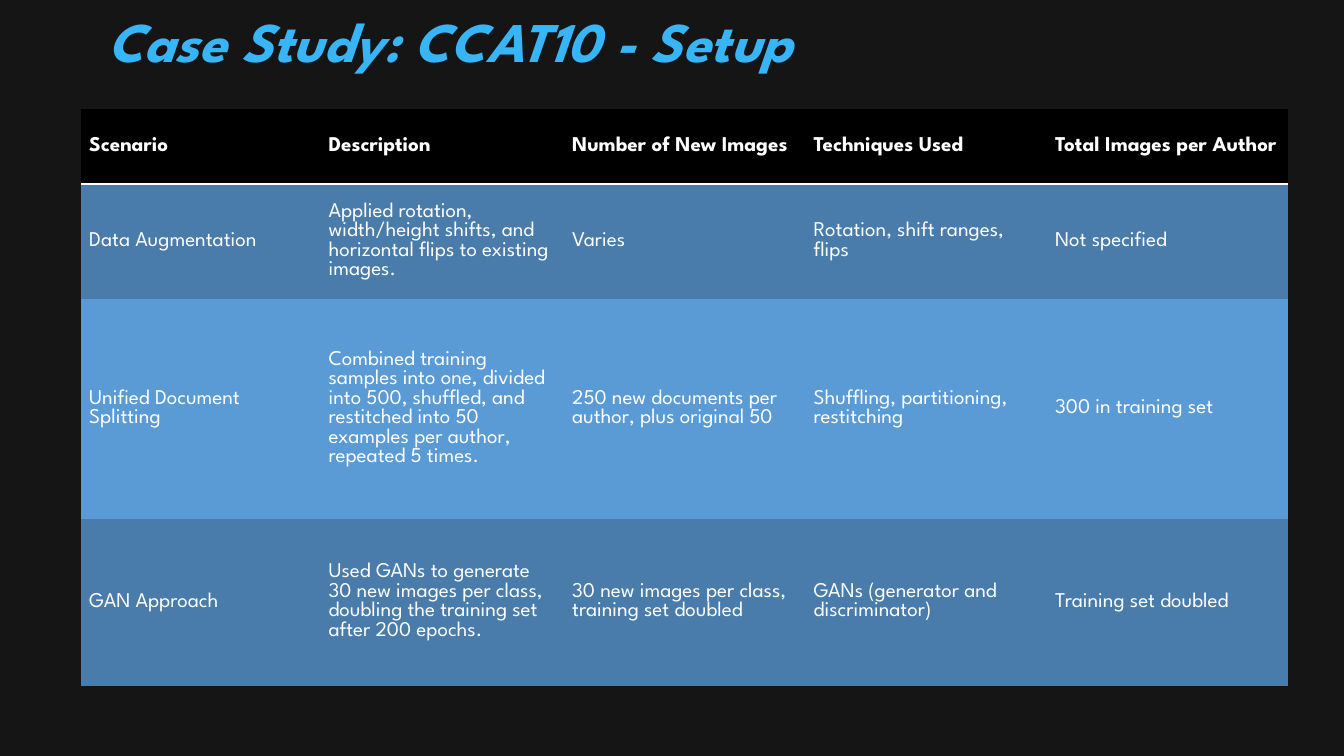
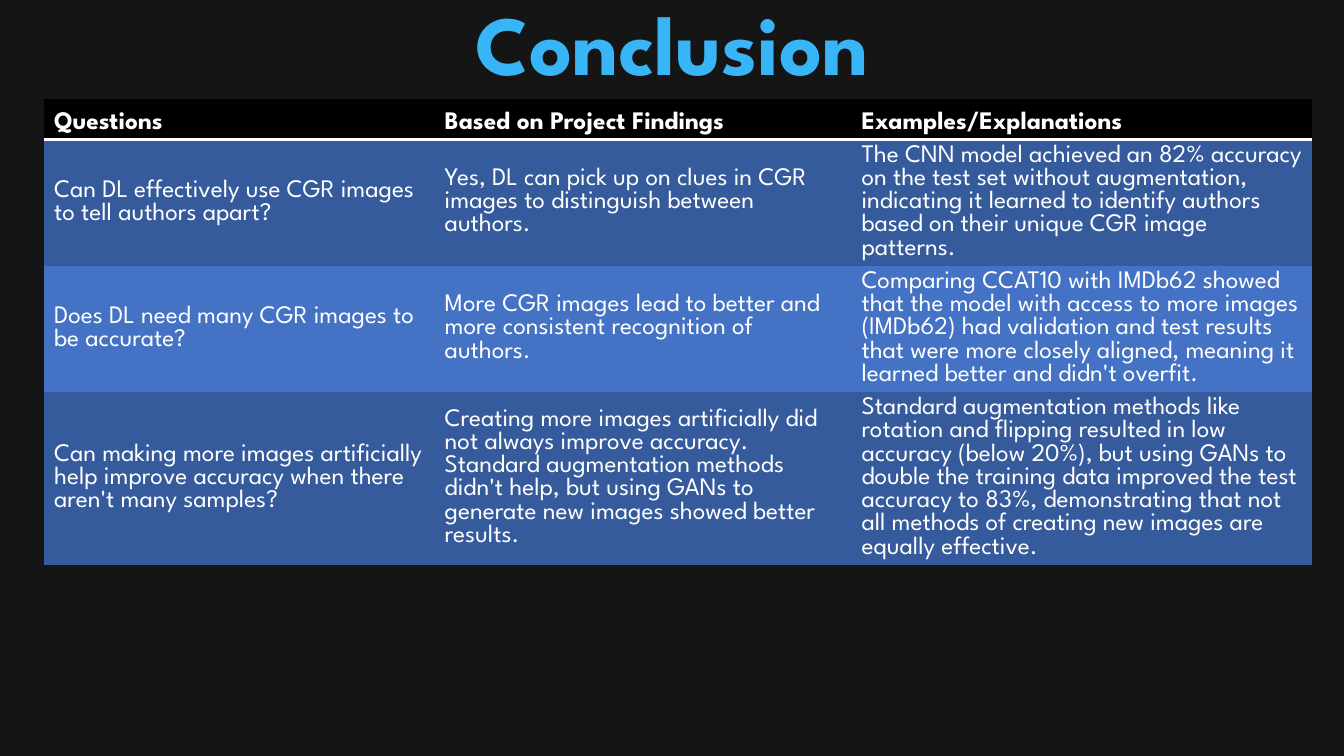
from pptx import Presentation
from pptx import util as u
from pptx.dml.color import RGBColor
from pptx.enum import text
from pptx.oxml import parse_xml
from pptx.oxml.ns import nsdecls, qn

FONT = "League Spartan"
DARK = RGBColor(0x15, 0x15, 0x15)
BLACK = RGBColor(0, 0, 0)
WHITE = RGBColor(0xFF, 0xFF, 0xFF)
SKY = RGBColor(0x37, 0xB5, 0xF7)
STEEL = RGBColor(0x49, 0x7C, 0xAB)
AZURE = RGBColor(0x5B, 0x9B, 0xD5)
NAVY = RGBColor(0x36, 0x5B, 0x9D)
ROYAL = RGBColor(0x44, 0x72, 0xC4)
NO_GRID = "{2D5ABB26-0587-4C30-8999-92F81FD0307C}"

SETUP = [
    ["Scenario", "Description", "Number of New Images", "Techniques Used",
     "Total Images per Author"],
    ["Data Augmentation",
     "Applied rotation, width/height shifts, and horizontal flips to existing images.",
     "Varies", "Rotation, shift ranges, flips", "Not specified"],
    ["Unified Document Splitting",
     "Combined training samples into one, divided into 500, shuffled, and "
     "restitched into 50 examples per author, repeated 5 times.",
     "250 new documents per author, plus original 50",
     "Shuffling, partitioning, restitching", "300 in training set"],
    ["GAN Approach",
     "Used GANs to generate 30 new images per class, doubling the training set "
     "after 200 epochs.",
     "30 new images per class, training set doubled",
     "GANs (generator and discriminator)", "Training set doubled"],
]

FINDINGS = [
    ["Questions", "Based on Project Findings", "Examples/Explanations"],
    ["Can DL effectively use CGR images to tell authors apart?",
     "Yes, DL can pick up on clues in CGR images to distinguish between authors.",
     "The CNN model achieved an 82% accuracy on the test set without augmentation, "
     "indicating it learned to identify authors based on their unique CGR image "
     "patterns."],
    ["Does DL need many CGR images to be accurate?",
     "More CGR images lead to better and more consistent recognition of authors.",
     "Comparing CCAT10 with IMDb62 showed that the model with access to more images "
     "(IMDb62) had validation and test results that were more closely aligned, "
     "meaning it learned better and didn't overfit."],
    ["Can making more images artificially help improve accuracy when there aren't "
     "many samples?",
     "Creating more images artificially did not always improve accuracy. Standard "
     "augmentation methods didn't help, but using GANs to generate new images showed "
     "better results.",
     "Standard augmentation methods like rotation and flipping resulted in low "
     "accuracy (below 20%), but using GANs to double the training data improved the "
     "test accuracy to 83%, demonstrating that not all methods of creating new images "
     "are equally effective."],
]


def px(n):
    return u.Emu(n * 9525)


def style(para, size, color, bold, italic=False):
    for run in para.runs:
        font = run.font
        font.name, font.size = FONT, u.Pt(size)
        font.bold, font.italic = bold, italic
        font.color.rgb = color


def add_slide(deck, words, width, height, size, italic=False):
    """Add a slide whose title is centred in a box at the top left."""
    slide = deck.slides.add_slide(deck.slide_layouts[5])
    title = slide.shapes.title
    title.left, title.top = 0, 0
    title.width, title.height = px(width), px(height)
    frame = title.text_frame
    frame.text = words
    frame.auto_size = text.MSO_AUTO_SIZE.NONE
    frame.vertical_anchor = text.MSO_ANCHOR.MIDDLE
    para = frame.paragraphs[0]
    para.alignment = text.PP_ALIGN.CENTER
    para.line_spacing = 0.9
    style(para, size, SKY, True, italic)
    return slide


def underline(cell):
    """Draw the white rule below a header cell."""
    props = cell._tc.get_or_add_tcPr()
    props.insert(0, parse_xml(
        f'<a:lnB {nsdecls("a")} w="{u.Pt(2)}"><a:solidFill>'
        f'<a:srgbClr val="{WHITE}"/></a:solidFill></a:lnB>'))


def add_grid(slide, data, left, top, cols, rows, size, bands,
             head=text.MSO_ANCHOR.MIDDLE, inset=None):
    """Add a table with a black header and rows in alternating colours."""
    shape = slide.shapes.add_table(len(rows), len(cols), px(left), px(top),
                                   px(sum(cols)), px(sum(rows)))
    table = shape.table
    table.horz_banding = False
    table._tbl.tblPr.find(qn("a:tableStyleId")).text = NO_GRID
    for col, width in zip(table.columns, cols):
        col.width = px(width)
    for i, (row, high, line) in enumerate(zip(table.rows, rows, data)):
        row.height = px(high)
        first = i == 0
        for cell, words in zip(row.cells, line):
            cell.text = words
            cell.vertical_anchor = head if first else text.MSO_ANCHOR.MIDDLE
            if inset:
                cell.margin_left = cell.margin_right = px(inset[0])
                cell.margin_top = cell.margin_bottom = px(inset[1])
            cell.fill.solid()
            cell.fill.fore_color.rgb = BLACK if first else bands[(i - 1) % 2]
            style(cell.text_frame.paragraphs[0], size, WHITE, first)
            if first:
                underline(cell)


def main():
    deck = Presentation()
    deck.slide_width, deck.slide_height = px(1280), px(720)
    fill = deck.slide_master.background.fill
    fill.solid()
    fill.fore_color.rgb = DARK

    setup = add_slide(deck, "Case Study: CCAT10 - Setup", 857, 84, 40, italic=True)
    add_grid(setup, SETUP, 77, 104, [228, 232, 230, 230, 230],
             [71, 110, 209, 159], 15, (STEEL, AZURE), inset=(8, 4))

    end = add_slide(deck, "Conclusion", 1280, 91, 60)
    add_grid(end, FINDINGS, 42, 94, [372, 397, 439], [39] * 4, 18, (NAVY, ROYAL),
             head=text.MSO_ANCHOR.BOTTOM)

    deck.save("out.pptx")


if __name__ == "__main__":
    main()
